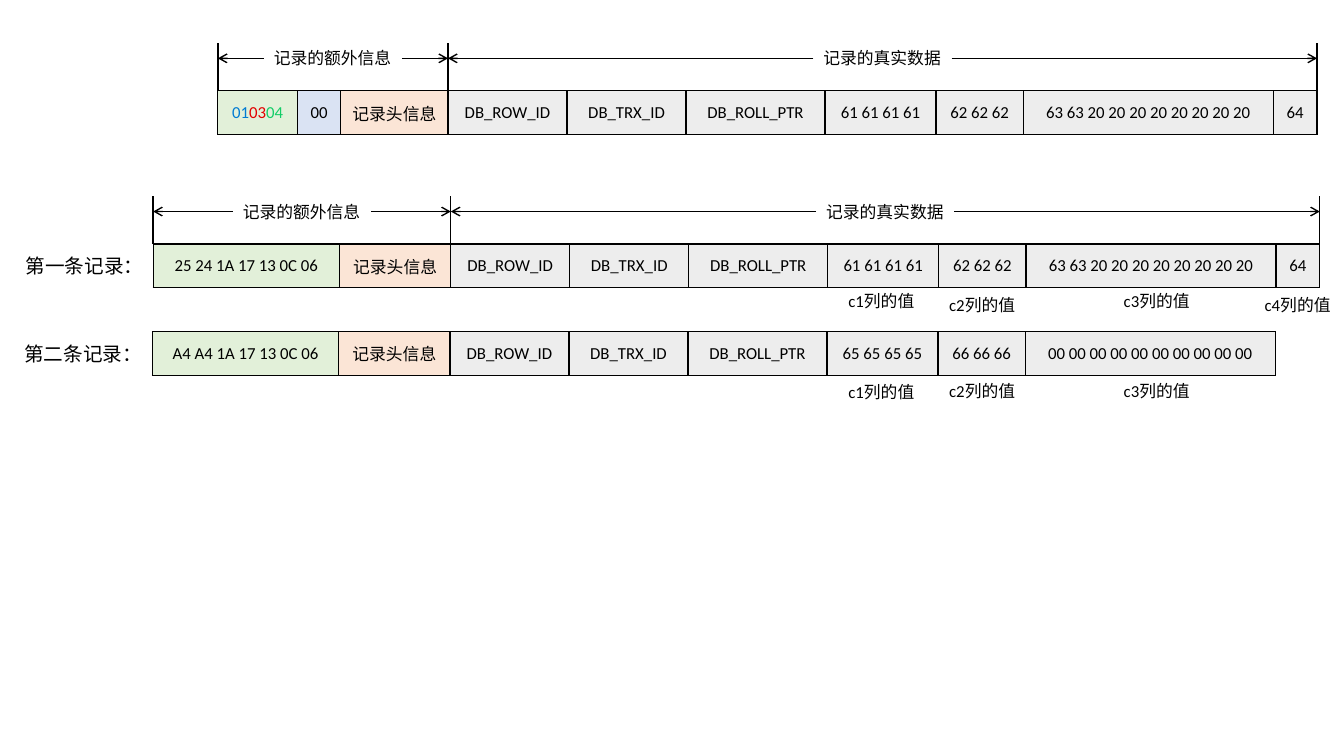
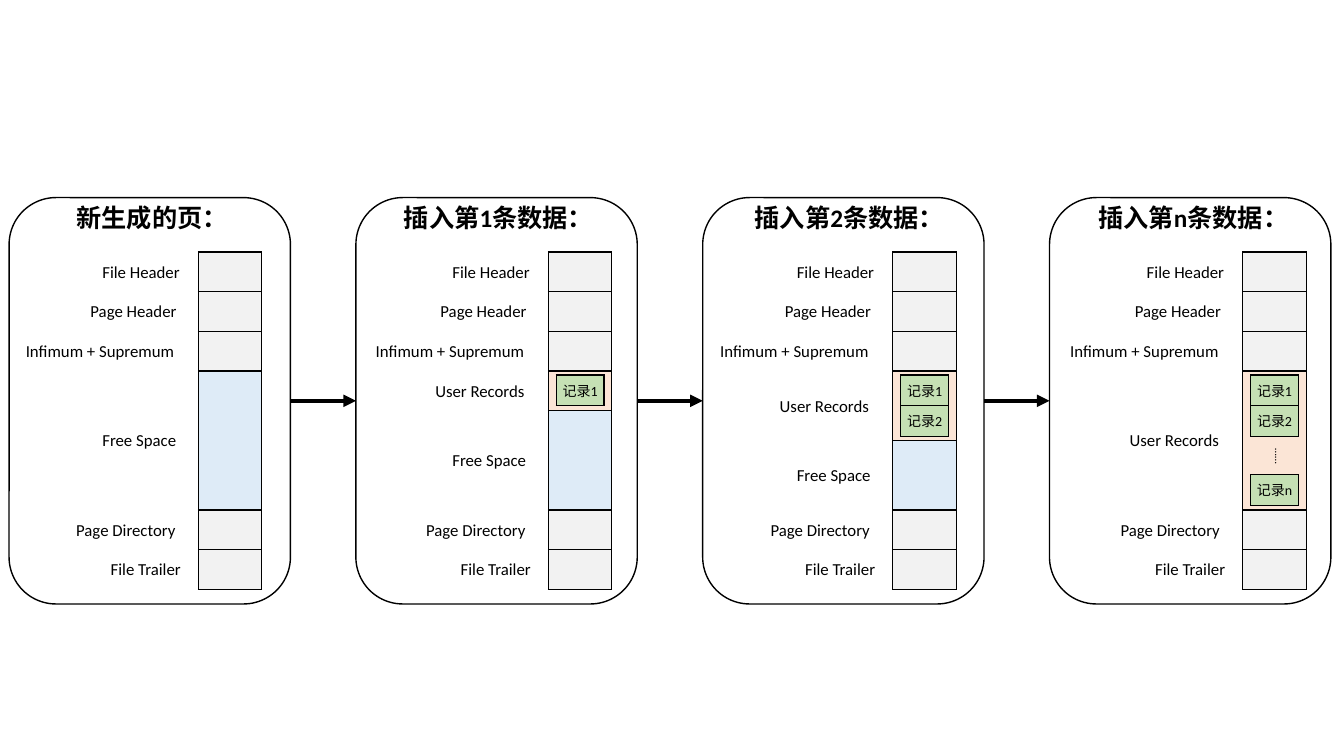
from lxml import etree
from pptx import Presentation
from pptx.dml.color import RGBColor
from pptx.enum.shapes import MSO_CONNECTOR, MSO_SHAPE
from pptx.enum.text import MSO_ANCHOR, PP_ALIGN
from pptx.oxml.ns import qn
from pptx.util import Cm, Pt

STRAIGHT = MSO_CONNECTOR.STRAIGHT
ROUNDED = MSO_SHAPE.ROUNDED_RECTANGLE
MIDDLE = MSO_ANCHOR.MIDDLE
CENTER = PP_ALIGN.CENTER

BLACK = RGBColor(0x00, 0x00, 0x00)
WHITE = RGBColor(0xFF, 0xFF, 0xFF)
GREEN = RGBColor(0xE2, 0xF0, 0xD9)
RECORD_GREEN = RGBColor(0xC5, 0xE0, 0xB4)
PERIWINKLE = RGBColor(0xDA, 0xE3, 0xF3)
BLUE = RGBColor(0xDE, 0xEB, 0xF7)
ORANGE = RGBColor(0xFB, 0xE5, 0xD6)
GRAY = RGBColor(0xED, 0xED, 0xED)
LIGHT_GRAY = RGBColor(0xF2, 0xF2, 0xF2)
BLUE_TEXT = (RGBColor(0x00, 0x7B, 0xD3), RGBColor(0x03, 0x43, 0x73))
RED_TEXT = (RGBColor(0xE3, 0x00, 0x00), RGBColor(0x76, 0x03, 0x03))
GREEN_TEXT = (RGBColor(0x14, 0xCD, 0x68), RGBColor(0x0B, 0x6E, 0x38))
FONT = "Calibri"

presentation = Presentation()
presentation.slide_width = Cm(33.87)
presentation.slide_height = Cm(19.05)
blank_layout = presentation.slide_layouts[6]


def add_text(slide, text, left, top, width, height=0.77, size=12, bold=False, wrap=True):
    """Add a one-run text box, with lengths in centimetres, and return it."""
    box = slide.shapes.add_textbox(Cm(left), Cm(top), Cm(width), Cm(height))
    box.text_frame.word_wrap = wrap
    run = box.text_frame.paragraphs[0].add_run()
    run.text = text
    run.font.name = FONT
    run.font.size = Pt(size)
    run.font.bold = bold
    run.font.color.rgb = BLACK
    return box


def add_table(slide, left, top, widths, heights, cells, size=12, margin=0):
    """Add a bordered table from rows of (text, fill) cells and return it."""
    table = slide.shapes.add_table(
        len(heights), len(widths), Cm(left), Cm(top), Cm(sum(widths)), Cm(sum(heights))
    ).table
    table.first_row = table.horz_banding = False
    for column, width in zip(table.columns, widths):
        column.width = Cm(width)
    for row, height, contents in zip(table.rows, heights, cells):
        row.height = Cm(height)
        for cell, (text, fill) in zip(row.cells, contents):
            cell.vertical_anchor = MIDDLE
            cell.margin_left = cell.margin_right = Cm(margin)
            cell.margin_top = cell.margin_bottom = 0
            cell.fill.solid()
            cell.fill.fore_color.rgb = fill
            properties = cell._tc.get_or_add_tcPr()
            for index, side in enumerate(("a:lnL", "a:lnR", "a:lnT", "a:lnB")):
                border = etree.Element(qn(side), w=str(Pt(1)))
                border_fill = etree.SubElement(border, qn("a:solidFill"))
                etree.SubElement(border_fill, qn("a:srgbClr"), val=str(BLACK))
                properties.insert(index, border)
            paragraph = cell.text_frame.paragraphs[0]
            paragraph.alignment = CENTER
            if text:
                run = paragraph.add_run()
                run.text = text
                run.font.name = FONT
                run.font.size = Pt(size)
                run.font.color.rgb = BLACK
    return table


# Each line: slide, start x, start y, end x, end y, width in points, arrowhead
lines = []

# Slide 1: record formats
slide = presentation.slides.add_slide(blank_layout)
header = ("记录头信息", ORANGE)
hidden_columns = ["DB_ROW_ID", "DB_TRX_ID", "DB_ROLL_PTR"]
first_values = ["61 61 61 61", "62 62 62", "63 63 20 20 20 20 20 20 20 20", "64"]
second_values = ["65 65 65 65", "66 66 66", "00 00 00 00 00 00 00 00 00 00"]
data_widths = [3, 3, 3.5, 2.8, 2.2, 6.3, 1.1]
row_height = 1.1
caption_width = 3.48

# Left, top, widths and cells of the extra information, values, bracket
records = [
    (5.49, 2.29, [2, 1.1, 2.7], [("", GREEN), ("00", PERIWINKLE), header], first_values, True),
    (3.86, 6.15, [4.7, 2.8], [("25 24 1A 17 13 0C 06", GREEN), header], first_values, True),
    (3.84, 8.36, [4.7, 2.8], [("A4 A4 1A 17 13 0C 06", GREEN), header], second_values, False),
]
tables = []
for left, top, extra_widths, extra_cells, values, bracket in records:
    data_cells = [(text, GRAY) for text in hidden_columns + values]
    widths = extra_widths + data_widths[:len(data_cells)]
    tables.append(add_table(slide, left, top, widths, [row_height],
                            [extra_cells + data_cells], margin=0.2))
    if not bracket:
        continue
    middle = left + sum(extra_widths)
    right = left + sum(widths)
    for x in (left, middle, right):
        lines.append((slide, x, top, x, top - 1.2, 1, None))
    for start, end, caption in ((left, middle, "记录的额外信息"), (middle, right, "记录的真实数据")):
        caption_left = (start + end - caption_width) / 2
        add_text(slide, caption, caption_left, top - 1.2, caption_width)
        arrow_y = top - 0.82
        lines.append((slide, caption_left, arrow_y, start, arrow_y, 1, "arrow"))
        lines.append((slide, caption_left + caption_width, arrow_y, end, arrow_y, 1, "arrow"))

length_paragraph = tables[0].cell(0, 0).text_frame.paragraphs[0]
for text, colors in (("01", BLUE_TEXT), ("03", RED_TEXT), ("04", GREEN_TEXT)):
    run = length_paragraph.add_run()
    run.text = text
    run.font.name = FONT
    run.font.size = Pt(12)
    run.font.fill.gradient()
    run.font.fill.gradient_angle = 0
    for stop, color in zip(run.font.fill.gradient_stops, colors):
        stop.color.rgb = color

column_labels = [
    ("c1", 21.13, [7.21, 9.5]),
    ("c2", 23.67, [7.29, 9.47]),
    ("c3", 28.07, [7.21, 9.47]),
    ("c4", 31.62, [7.29]),
]
for name, left, tops in column_labels:
    for top in tops:
        add_text(slide, name + "列的值", left, top, 2.24)
add_text(slide, "第一条记录：", 0.4, 6.27, 3.5, size=14)
add_text(slide, "第二条记录：", 0.36, 8.48, 3.5, size=14)

# Slide 2: page filling up with records
slide = presentation.slides.add_slide(blank_layout)
panel_left, panel_top, panel_width, panel_height, panel_pitch = 0.23, 4.98, 7.09, 10.24, 8.74
column_top, column_width = 6.35, 1.6
space_height = 3.5
label_height = 0.77
label_widths = {
    "File Header": 2.67, "Page Header": 2.97, "Infimum + Supremum": 4.6, "User Records": 3.1,
    "Free Space": 2.67, "Page Directory": 3.33, "File Trailer": 2.46,
}

# Title, its left and width, left of the page column, height of the user records, record stacks
panels = [
    ("新生成的页：", 1.68, 4.32, 5, 0, []),
    ("插入第1条数据：", 9.93, 5.31, 13.82, 1, [(9.45, "1")]),
    ("插入第2条数据：", 18.77, 5.31, 22.5, 1.75, [(9.45, "12")]),
    ("插入第n条数据：", 27.43, 5.33, 31.32, space_height, [(9.45, "12"), (11.96, "n")]),
]
for index, (title, title_left, title_width, column_left, user_height, stacks) in enumerate(panels):
    left = panel_left + index * panel_pitch
    panel = slide.shapes.add_shape(ROUNDED, Cm(left), Cm(panel_top), Cm(panel_width), Cm(panel_height))
    panel.shadow.inherit = False
    panel.fill.solid()
    panel.fill.fore_color.rgb = WHITE
    panel.line.color.rgb = BLACK
    panel.line.width = Pt(1)
    add_text(slide, title, title_left, panel_top, title_width, 1.02, size=18, bold=True, wrap=False)

    parts = [
        ("File Header", 1, LIGHT_GRAY),
        ("Page Header", 1, LIGHT_GRAY),
        ("Infimum + Supremum", 1, LIGHT_GRAY),
        ("User Records", user_height, ORANGE),
        ("Free Space", space_height - user_height, BLUE),
        ("Page Directory", 1, LIGHT_GRAY),
        ("File Trailer", 1, LIGHT_GRAY),
    ]
    parts = [part for part in parts if part[1] > 0]
    add_table(slide, column_left, column_top, [column_width],
              [height for _, height, _ in parts], [[("", fill)] for _, _, fill in parts])
    part_top = column_top
    for name, height, _ in parts:
        width = label_widths[name]
        add_text(slide, name, column_left - width, part_top + (height - label_height) / 2, width)
        part_top += height
    for top, numbers in stacks:
        add_table(slide, column_left + 0.2, top, [1.2], [0.77] * len(numbers),
                  [[("记录" + number, RECORD_GREEN)] for number in numbers], size=10)
    if index:
        arrow_y = panel_top + panel_height / 2
        lines.append((slide, left - panel_pitch + panel_width, arrow_y, left, arrow_y, 3, "triangle"))

ellipsis = add_text(slide, "……", 31.7, 11.05, 0.84, 0.81, size=8, wrap=False)
ellipsis.text_frame._txBody.bodyPr.set("vert", "eaVert")

# Lines and arrows of both slides
for slide, start_x, start_y, end_x, end_y, width, arrowhead in lines:
    connector = slide.shapes.add_connector(STRAIGHT, Cm(start_x), Cm(start_y), Cm(end_x), Cm(end_y))
    connector.line.color.rgb = BLACK
    connector.line.width = Pt(width)
    properties = connector._element.spPr
    if arrowhead:
        etree.SubElement(properties.find(qn("a:ln")), qn("a:tailEnd"), type=arrowhead)
    etree.SubElement(properties, qn("a:effectLst"))

presentation.save("out.pptx")
